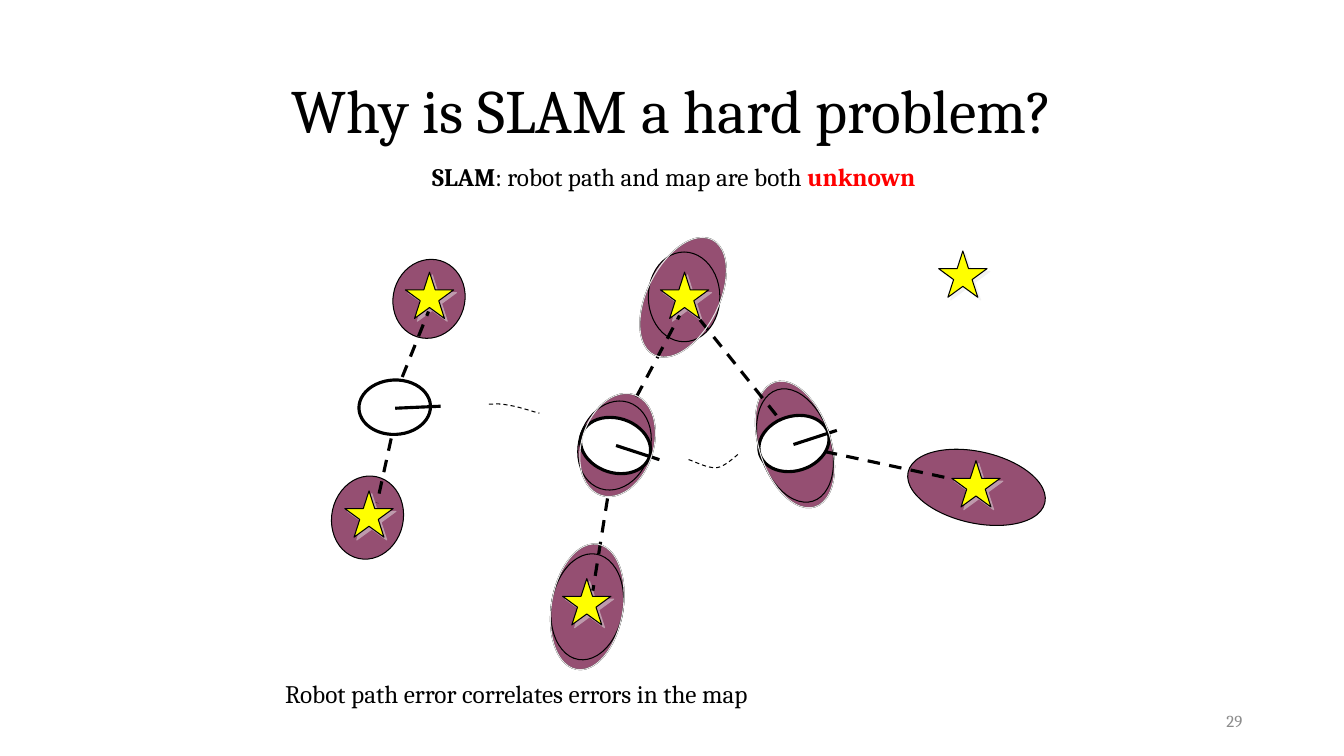
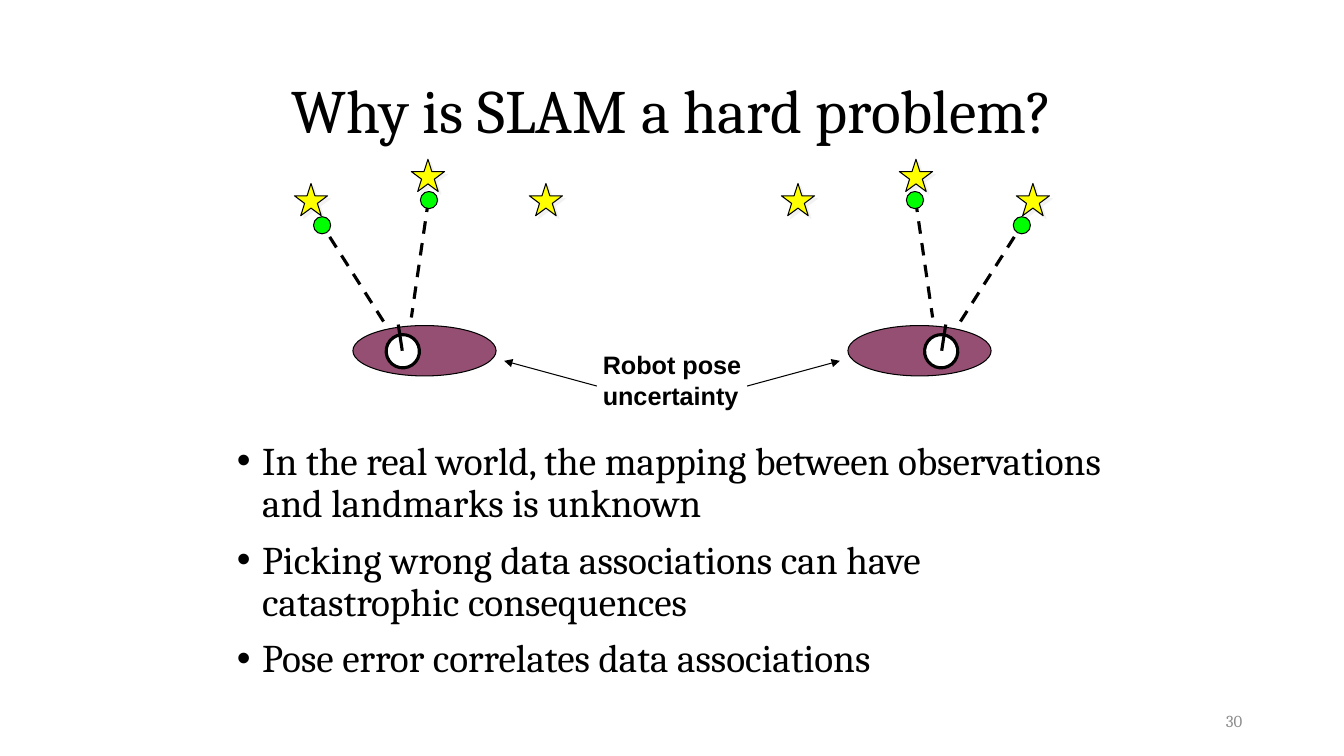
"""Build two slides on why SLAM is a hard problem."""
from dataclasses import dataclass, replace
from typing import Any, Optional, Union

from lxml import etree
from pptx import Presentation
from pptx import util as u
from pptx.dml.color import RGBColor
from pptx.enum import dml, shapes, text
from pptx.oxml.ns import qn

PX = 9144
W, H = 1333, 750
BLACK = RGBColor(0x00, 0x00, 0x00)
WHITE = RGBColor(0xFF, 0xFF, 0xFF)
GRAY = RGBColor(0x8C, 0x8C, 0x8C)
PALE = RGBColor(0xE7, 0xE6, 0xE6)
PLUM = RGBColor(0x95, 0x4F, 0x72)
YELLOW = RGBColor(0xFF, 0xFF, 0x00)
GREEN = RGBColor(0x00, 0xFF, 0x00)
RED = RGBColor(0xFF, 0x00, 0x00)
THIN, THICK = 0.75, 2.25
TITLE = "Why is SLAM a hard problem?"
BASE = {"name": "Cambria", "size": u.Pt(18), "bold": False, "color": BLACK}
BULLETS = (
    "In the real world, the mapping between observations and landmarks is unknown",
    "Picking wrong data associations can have catastrophic consequences",
    "Pose error correlates data associations",
)


@dataclass(frozen=True)
class Oval:
    x: int
    y: int
    w: int
    h: int
    rot: float = 0
    fill: Optional[RGBColor] = PLUM
    line: RGBColor = BLACK
    weight: float = THIN


@dataclass(frozen=True)
class Star:
    x: int
    y: int
    w: int = 48
    h: int = 46


@dataclass(frozen=True)
class Line:
    x1: int
    y1: int
    x2: int
    y2: int
    dash: bool = True
    weight: float = THICK
    arrow: bool = False


@dataclass(frozen=True)
class Curve:
    points: tuple[tuple[int, int], ...]


Item = Union[Oval, Star, Line, Curve]


def robot(x: int, y: int, rot: float, fill: Optional[RGBColor] = WHITE) -> Oval:
    return Oval(x, y, 71, 54, rot, fill, weight=THICK)


def rim(oval: Oval) -> Oval:
    return replace(oval, fill=None, line=PALE)


BOTTOM_ERROR = Oval(547, 539, 71, 126, 9.5)
TOP_ERROR = Oval(642, 231, 71, 128, 26.8)
RIGHT_POSE = Oval(753, 376, 71, 130, 342.1)
MIDDLE_POSE = Oval(577, 389, 71, 105, 18.1)

MAP_ITEMS: list[Item] = [
    Oval(933, 414, 71, 139, 102.6),
    BOTTOM_ERROR,
    Oval(547, 549, 71, 106, 9.5),
    TOP_ERROR,
    Oval(643, 250, 71, 89),
    Oval(329, 472, 71, 83, 12.1),
    Oval(390, 257, 71, 79, 16.9),
    *(Star(x, y) for x, y in ((402, 270), (342, 487), (558, 574),
                              (655, 270), (944, 457), (931, 249))),
    robot(356, 377, 357.8, None),
    Line(392, 405, 437, 403, dash=False),
    RIGHT_POSE,
    MIDDLE_POSE,
    Line(388, 435, 374, 499),
    Line(399, 374, 425, 309),
    Line(606, 473, 588, 586),
    Line(621, 413, 674, 313),
    Oval(753, 384, 71, 116, 342.1),
    robot(752, 413, 342.2),
    Line(787, 441, 830, 427, dash=False),
    Curve(((683, 456), (687, 457), (702, 465), (711, 464),
           (719, 463), (729, 453), (733, 450))),
    rim(RIGHT_POSE),
    Line(818, 448, 939, 474),
    Line(770, 412, 694, 317),
    rim(TOP_ERROR),
    rim(BOTTOM_ERROR),
    Oval(574, 397, 71, 90, 18.1),
    robot(575, 415, 17.9),
    Line(611, 442, 654, 456, dash=False),
    Curve(((485, 401), (490, 401), (496, 400), (504, 402),
           (513, 403), (524, 407), (535, 410))),
    rim(MIDDLE_POSE),
]

POSE_ITEMS: list[Item] = [
    *(Star(x, y, 33, 32) for x, y in ((292, 182), (408, 158), (525, 182))),
    Oval(350, 323, 142, 50),
    Oval(383, 332, 33, 33, 9.7, WHITE, weight=THICK),
    Line(399, 348, 395, 322, dash=False),
    Line(327, 235, 383, 323),
    Line(425, 198, 408, 315),
    *(Oval(x, y, 17, 17, fill=GREEN) for x, y in ((311, 215), (417, 190))),
    Line(592, 383, 500, 358, dash=False, weight=THIN, arrow=True),
]


def mirror(item: Item) -> Item:
    if isinstance(item, Line):
        return replace(item, x1=W - item.x1, x2=W - item.x2)
    flipped = replace(item, x=W - item.x - item.w)
    return replace(flipped, rot=-item.rot % 360) if isinstance(item, Oval) else flipped


def set_line(sp: Any, color: RGBColor, weight: float, dash: bool = False) -> None:
    sp.line.color.rgb = color
    sp.line.width = u.Pt(weight)
    if dash:
        sp.line.dash_style = dml.MSO_LINE.DASH


def add_preset(s: Any, kind: Any, item: Any, fill: Optional[RGBColor]) -> Any:
    box = (v * PX for v in (item.x, item.y, item.w, item.h))
    sp = s.shapes.add_shape(kind, *box)
    sp.shadow.inherit = False
    if fill is None:
        sp.fill.background()
    else:
        sp.fill.solid()
        sp.fill.fore_color.rgb = fill
    return sp


def draw_oval(s: Any, item: Oval) -> None:
    sp = add_preset(s, shapes.MSO_SHAPE.OVAL, item, item.fill)
    sp.rotation = item.rot
    set_line(sp, item.line, item.weight)


def draw_star(s: Any, item: Star) -> None:
    sp = add_preset(s, shapes.MSO_SHAPE.STAR_5_POINT, item, YELLOW)
    set_line(sp, BLACK, THIN)
    effects = sp._element.spPr.find(qn("a:effectLst"))
    shadow = etree.SubElement(effects, qn("a:outerShdw"), dist=str(u.Pt(2.8)),
                              dir="2700000", algn="ctr", rotWithShape="0")
    color = etree.SubElement(shadow, qn("a:srgbClr"), val=str(PALE))
    etree.SubElement(color, qn("a:alpha"), val="50000")


def draw_line(s: Any, item: Line) -> None:
    ends = (v * PX for v in (item.x1, item.y1, item.x2, item.y2))
    sp = s.shapes.add_connector(shapes.MSO_CONNECTOR.STRAIGHT, *ends)
    set_line(sp, BLACK, item.weight, item.dash)
    props = sp._element.spPr
    if item.arrow:
        etree.SubElement(props.find(qn("a:ln")), qn("a:tailEnd"), type="triangle")
    etree.SubElement(props, qn("a:effectLst"))


def bezier(points: tuple[tuple[int, int], ...], t: float) -> tuple[float, float]:
    weights = ((1 - t) ** 3, 3 * t * (1 - t) ** 2, 3 * t * t * (1 - t), t ** 3)
    x, y = (sum(k * v for k, v in zip(weights, axis)) for axis in zip(*points))
    return x * PX, y * PX


def draw_curve(s: Any, item: Curve, steps: int = 8) -> None:
    pts = item.points
    trail = [bezier(pts[i:i + 4], n / steps)
             for i in range(0, len(pts) - 1, 3) for n in range(1, steps + 1)]
    builder = s.shapes.build_freeform(pts[0][0] * PX, pts[0][1] * PX)
    builder.add_line_segments(trail, close=False)
    sp = builder.convert_to_shape()
    sp.shadow.inherit = False
    sp.fill.background()
    set_line(sp, BLACK, THIN, dash=True)


DRAW = {Oval: draw_oval, Star: draw_star, Line: draw_line, Curve: draw_curve}


def draw_all(s: Any, items: list[Item]) -> None:
    for item in items:
        DRAW[type(item)](s, item)


def add_run(p: Any, words: str, **fmt: Any) -> None:
    r = p.add_run()
    r.text = words
    for key, value in {**BASE, **fmt}.items():
        if key == "color":
            r.font.color.rgb = value
        else:
            setattr(r.font, key, value)


def place(sp: Any, x: int, y: int, w: int, h: int) -> Any:
    for key, value in {"left": x, "top": y, "width": w, "height": h}.items():
        setattr(sp, key, value * PX)
    sp.text_frame.auto_size = text.MSO_AUTO_SIZE.NONE
    return sp.text_frame


def add_text(s: Any, x: int, y: int, w: int, h: int, *lines: list[tuple[str, dict]],
             align: Any = text.PP_ALIGN.LEFT, wrap: bool = False) -> Any:
    tf = s.shapes.add_textbox(*(v * PX for v in (x, y, w, h))).text_frame
    tf.word_wrap = wrap
    for i, line in enumerate(lines):
        p = tf.add_paragraph() if i else tf.paragraphs[0]
        p.alignment = align
        for words, fmt in line:
            add_run(p, words, **fmt)
    return tf


def add_slide(prs: Any, layout: int, number: int) -> Any:
    s = prs.slides.add_slide(prs.slide_layouts[layout])
    tf = add_text(s, 942, 695, 300, 40, [(str(number), {"size": u.Pt(12), "color": GRAY})],
                  align=text.PP_ALIGN.RIGHT, wrap=True)
    tf.vertical_anchor = text.MSO_ANCHOR.MIDDLE
    tf = place(s.shapes.title, 92, 40, 1150, 145)
    tf.vertical_anchor = text.MSO_ANCHOR.MIDDLE
    p = tf.paragraphs[0]
    p.alignment = text.PP_ALIGN.CENTER
    p.line_spacing = 0.9
    add_run(p, TITLE, size=u.Pt(44))
    return s


def add_bullets(s: Any) -> None:
    tf = place(s.placeholders[1], 225, 433, 892, 286)
    for i, words in enumerate(BULLETS):
        p = tf.add_paragraph() if i else tf.paragraphs[0]
        p.line_spacing = 0.9
        p.space_before = u.Pt(10)
        add_run(p, words, size=u.Pt(28))
        props = p._p.get_or_add_pPr()
        props.set("marL", str(25 * PX))
        props.set("indent", str(-25 * PX))
        etree.SubElement(props, qn("a:buFont"), typeface="Arial")
        etree.SubElement(props, qn("a:buChar"), char="•")


def map_slide(prs: Any) -> None:
    s = add_slide(prs, 5, 29)
    add_text(s, 387, 155, 568, 40,
             [("SLAM", {"bold": True}), (": robot path and map are both ", {}),
              ("unknown ", {"bold": True, "color": RED})], align=text.PP_ALIGN.CENTER)
    draw_all(s, MAP_ITEMS)
    add_text(s, 273, 668, 519, 40, [("Robot path error correlates errors in the map", {})])


def association_slide(prs: Any) -> None:
    s = add_slide(prs, 1, 30)
    add_bullets(s)
    label = {"name": "Arial", "bold": True}
    add_text(s, 588, 342, 158, 70, [("Robot pose", label)], [("uncertainty", label)])
    draw_all(s, POSE_ITEMS)
    draw_all(s, [mirror(item) for item in POSE_ITEMS])


def main() -> None:
    prs = Presentation()
    prs.slide_width, prs.slide_height = W * PX, H * PX
    map_slide(prs)
    association_slide(prs)
    prs.save("out.pptx")


if __name__ == "__main__":
    main()
